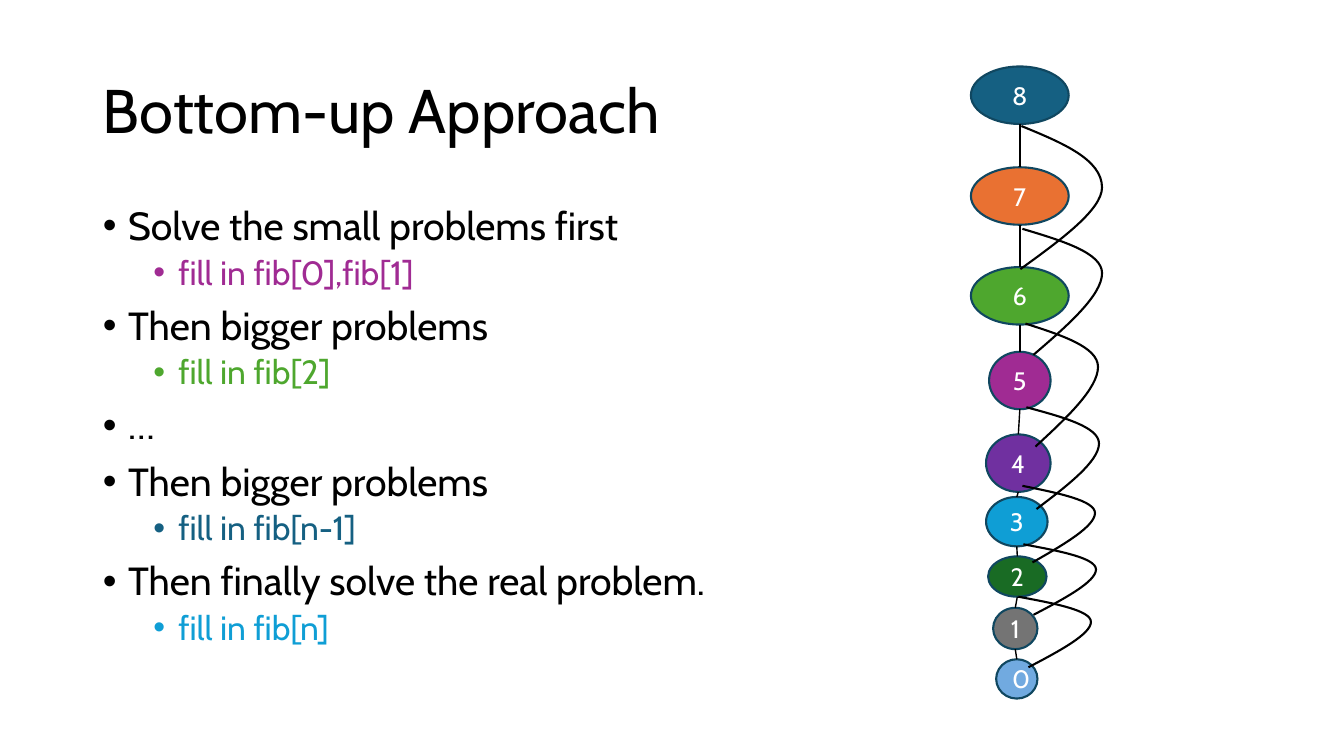
from lxml.etree import SubElement
from pptx import Presentation
from pptx.dml.color import RGBColor
from pptx.enum.shapes import MSO_CONNECTOR, MSO_SHAPE
from pptx.enum.text import MSO_ANCHOR, MSO_AUTO_SIZE, PP_ALIGN
from pptx.oxml.ns import qn
from pptx.util import Emu, Pt

PX_PER_INCH = 100
FONT = "Cabin"

BLACK = RGBColor(0x00, 0x00, 0x00)
WHITE = RGBColor(0xFF, 0xFF, 0xFF)
OUTLINE = RGBColor(0x10, 0x47, 0x60)
TEAL = RGBColor(0x15, 0x60, 0x82)
ORANGE = RGBColor(0xE9, 0x71, 0x32)
GREEN = RGBColor(0x4E, 0xA7, 0x2E)
MAGENTA = RGBColor(0xA0, 0x2B, 0x93)
PURPLE = RGBColor(0x70, 0x30, 0xA0)
SKY = RGBColor(0x0F, 0x9E, 0xD5)
DARK_GREEN = RGBColor(0x19, 0x6B, 0x24)
GRAY = RGBColor(0x74, 0x74, 0x74)
LIGHT_BLUE = RGBColor(0x71, 0xAA, 0xE0)

STEPS = [
    (0, "Solve the small problems first", BLACK),
    (1, "fill in fib[0],fib[1]", MAGENTA),
    (0, "Then bigger problems", BLACK),
    (1, "fill in fib[2]", GREEN),
    (0, "…", BLACK),
    (0, "Then bigger problems", BLACK),
    (1, "fill in fib[n-1]", TEAL),
    (0, "Then finally solve the real problem.", BLACK),
    (1, "fill in fib[n]", SKY),
]

NODES = [
    (TEAL, 0, 0, 97, 57),
    (ORANGE, 0, 100, 97, 57),
    (GREEN, 0, 199, 97, 57),
    (MAGENTA, 18, 283, 61, 57),
    (PURPLE, 15, 365, 64, 57),
    (SKY, 15, 427, 61, 49),
    (DARK_GREEN, 17, 486, 58, 40),
    (GRAY, 22, 537, 44, 41),
    (LIGHT_BLUE, 25, 588, 41, 39),
]

ARCS = [
    ((50, 59), (130, 120), (49, 201)),
    ((51, 161), (130, 205), (62, 286)),
    ((54, 255), (126, 298), (64, 377)),
    ((55, 338), (127, 374), (65, 439)),
    ((51, 416), (123, 443), (61, 492)),
    ((52, 474), (124, 499), (62, 544)),
    ((47, 526), (119, 551), (57, 596)),
]


def px(length):
    return Emu(round(length * 914400 / PX_PER_INCH))


def place(shape, box):
    shape.left, shape.top, shape.width, shape.height = map(px, box)


def format_font(font, size, color):
    font.name = FONT
    font.size = Pt(size)
    font.color.rgb = color


def add_title(page, box):
    title = page.shapes.title
    place(title, box)
    frame = title.text_frame
    frame.text = "Bottom-up Approach"
    frame.vertical_anchor = MSO_ANCHOR.MIDDLE
    frame.auto_size = MSO_AUTO_SIZE.NONE
    para = frame.paragraphs[0]
    para.alignment = PP_ALIGN.LEFT
    para.line_spacing = 0.9
    format_font(para.runs[0].font, 44, BLACK)


def add_steps(page, box):
    body = page.placeholders[1]
    place(body, box)
    frame = body.text_frame
    frame.auto_size = MSO_AUTO_SIZE.NONE
    for index, (level, text, color) in enumerate(STEPS):
        para = frame.add_paragraph() if index else frame.paragraphs[0]
        para.text = text
        para.level = level
        properties = para._p.get_or_add_pPr()
        properties.set("marL", str(px(25 + 50 * level)))
        properties.set("indent", str(px(-25)))
        SubElement(properties, qn("a:buFont"), typeface="Arial")
        SubElement(properties, qn("a:buChar"), char="•")
        para.line_spacing = 0.9
        para.space_before = Pt((5 if level else 10) if index else 0)
        para.space_after = Pt(0)
        format_font(para.runs[0].font, 24 if level else 28, color)


def add_node(page, label, color, box):
    node = page.shapes.add_shape(MSO_SHAPE.OVAL, *map(px, box))
    node.shadow.inherit = False
    node.fill.solid()
    node.fill.fore_color.rgb = color
    node.line.color.rgb = OUTLINE
    node.line.width = Pt(1.5)
    frame = node.text_frame
    frame.text = label
    frame.vertical_anchor = MSO_ANCHOR.MIDDLE
    para = frame.paragraphs[0]
    para.alignment = PP_ALIGN.CENTER
    format_font(para.runs[0].font, 18, WHITE)


def add_link(page, start, end):
    link = page.shapes.add_connector(MSO_CONNECTOR.STRAIGHT, *map(px, start + end))
    SubElement(link._element.spPr, qn("a:effectLst"))
    link.line.color.rgb = BLACK
    link.line.width = Pt(1)


def add_arc(page, start, apex, end):
    (x1, y1), (x2, y2), (x3, y3) = start, apex, end
    rise, fall = y2 - y1, y3 - y2
    points = [
        ((x1 + x2) / 2, y1 + 0.27 * rise),
        (x2, y1 + 0.54 * rise),
        apex,
        (x2, y2 + 0.27 * fall),
        ((x2 + x3) / 2, y2 + 0.64 * fall),
        end,
    ]
    builder = page.shapes.build_freeform(px(x1), px(y1))
    builder.add_line_segments([(px(x), px(y)) for x, y in points], close=False)
    arc = builder.convert_to_shape()
    segments = list(arc._element.iter(qn("a:lnTo")))
    for first in (0, 3):
        curve = segments[first]
        curve.tag = qn("a:cubicBezTo")
        for segment in segments[first + 1:first + 3]:
            curve.append(segment[0])
            segment.getparent().remove(segment)
    arc.shadow.inherit = False
    arc.fill.background()
    arc.line.color.rgb = BLACK
    arc.line.width = Pt(1.5)


def add_chain(page, left, top):
    bottom = None
    for index, (color, x, y, width, height) in enumerate(NODES):
        box = (left + x, top + y, width, height)
        add_node(page, str(len(NODES) - 1 - index), color, box)
        middle = left + x + width / 2
        if bottom:
            add_link(page, bottom, (middle, top + y))
        bottom = (middle, top + y + height)
    for arc in ARCS:
        add_arc(page, *[(left + x, top + y) for x, y in arc])


def main():
    deck = Presentation()
    deck.slide_width, deck.slide_height = px(1333), px(750)
    page = deck.slides.add_slide(deck.slide_layouts[1])
    add_title(page, (92, 40, 1150, 145))
    add_steps(page, (92, 200, 1150, 476))
    add_chain(page, 963, 66)
    deck.save("out.pptx")


if __name__ == "__main__":
    main()
